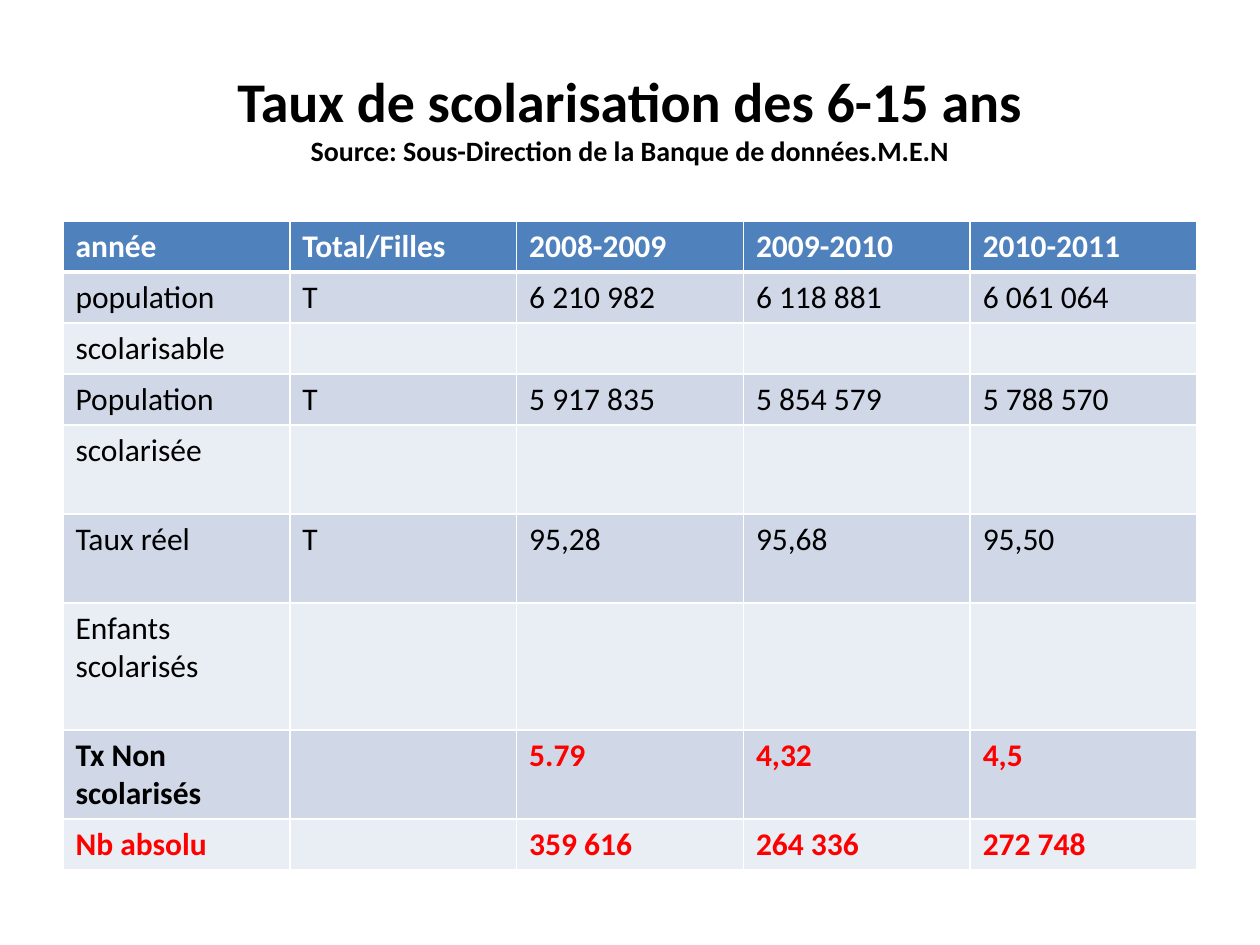
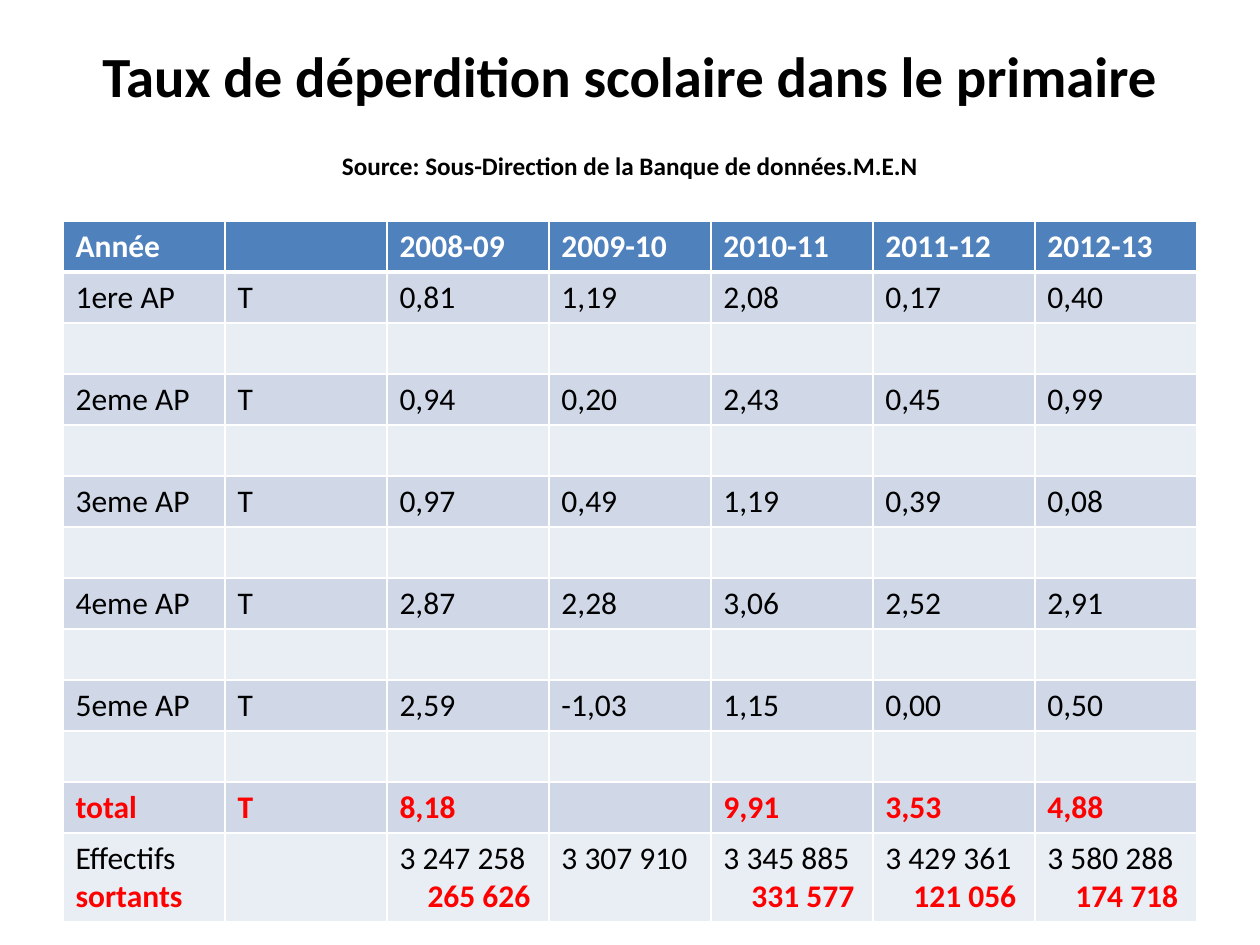
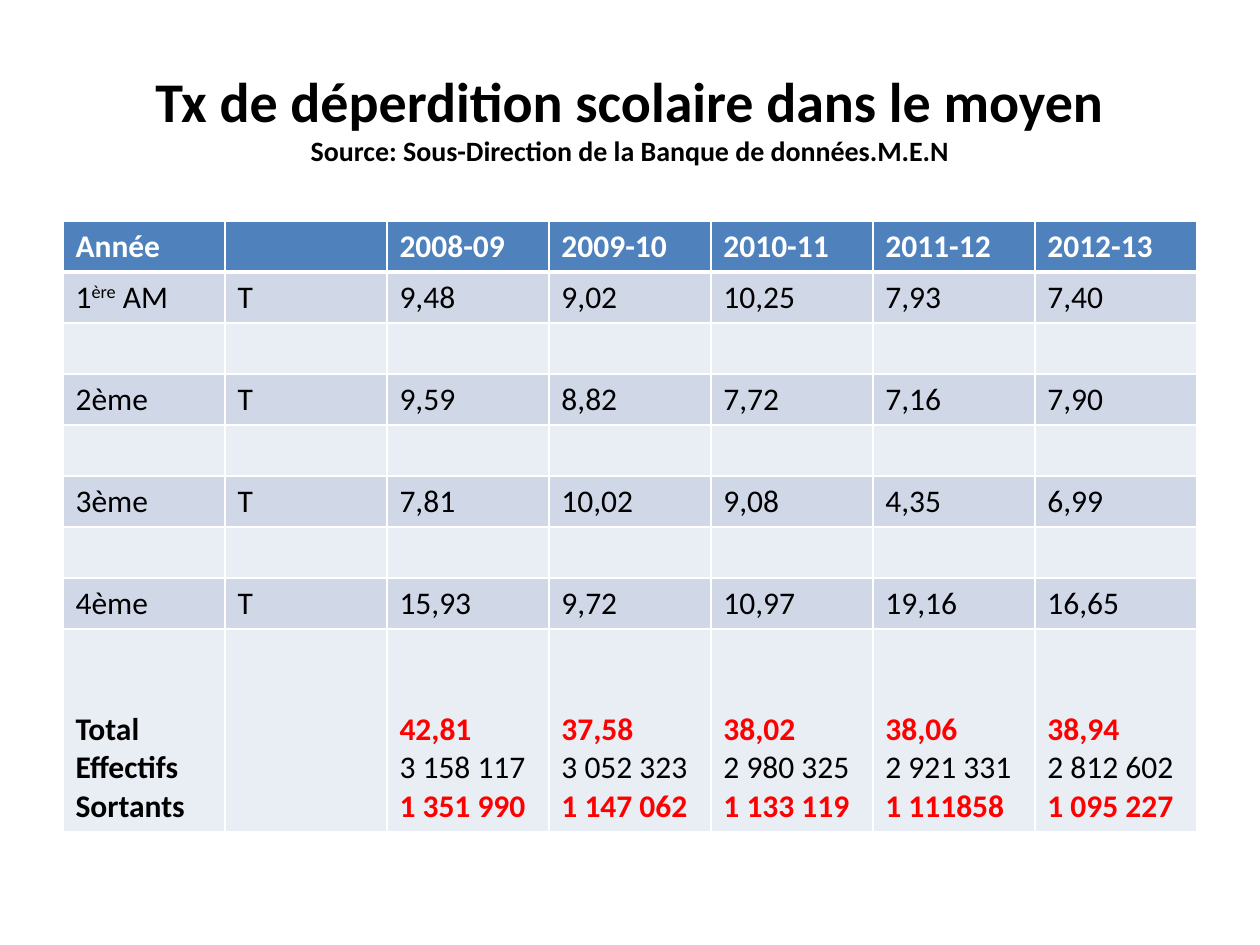
from dataclasses import dataclass

from lxml.etree import SubElement
from pptx import Presentation
from pptx.dml.color import RGBColor
from pptx.enum.text import MSO_ANCHOR, PP_ALIGN
from pptx.oxml.ns import qn
from pptx.util import Emu, Pt

PIXELS_PER_INCH = 126
FONT = "Calibri"
BLACK = RGBColor(0x00, 0x00, 0x00)
WHITE = RGBColor(0xFF, 0xFF, 0xFF)
RED = RGBColor(0xFF, 0x00, 0x00)
HEADER_BLUE = RGBColor(0x4F, 0x81, 0xBD)
BANDS = (RGBColor(0xE9, 0xED, 0xF4), RGBColor(0xD0, 0xD8, 0xE8))

LEFT, WIDTH = 63, 1134
TITLE_TOP, TITLE_HEIGHT = 38, 157
TABLE_TOP = 221
LINE_HEIGHT, CELL_PADDING = 38, 13

PLAIN = {"color": BLACK, "bold": False}
STRONG = {"color": BLACK, "bold": True}
ALERT = {"color": RED, "bold": True}
HEADING = {"color": WHITE, "bold": True}

SOURCE = "Source: Sous-Direction de la Banque de données.M.E.N"
SCHOOL_YEARS = ["Année", "", "2008-09", "2009-10", "2010-11", "2011-12", "2012-13"]


@dataclass
class Row:
    """A table row: cell texts, height in lines, and one style per text line."""
    cells: list
    lines: int = 1
    labels: tuple = (PLAIN,)
    values: tuple = (PLAIN,)
    indent: int = 0
    anchor: MSO_ANCHOR = MSO_ANCHOR.TOP


def px(pixels):
    """Turn pixels into EMU."""
    return Emu(round(pixels * 914400 / PIXELS_PER_INCH))


def write(para, text, size=18, color=BLACK, bold=False):
    """Write text into a paragraph; parts between ^ marks are superscript."""
    for position, part in enumerate(text.split("^")):
        if not part:
            continue
        span = para.add_run()
        span.text = part
        span.font.name = FONT
        span.font.size = Pt(size)
        span.font.bold = bold
        span.font.color.rgb = color
        if position % 2:
            span._r.get_or_add_rPr().set("baseline", "30000")


def add_title(page, title, size=32, source_size=16, gap=0, bottom=0):
    """Add the centred title with its source line below."""
    box = page.shapes.add_textbox(px(LEFT), px(TITLE_TOP), px(WIDTH), px(TITLE_HEIGHT))
    frame = box.text_frame
    frame.word_wrap = True
    frame.vertical_anchor = MSO_ANCHOR.MIDDLE
    frame.margin_top, frame.margin_bottom = 0, px(bottom)
    heading, source = frame.paragraphs[0], frame.add_paragraph()
    heading.alignment = source.alignment = PP_ALIGN.CENTER
    source.space_before = Pt(gap)
    write(heading, title, size=size, bold=True)
    write(source, SOURCE, size=source_size, bold=True)


def set_borders(cell, top, bottom):
    """Draw white cell borders, with top and bottom widths in points."""
    properties = cell._tc.get_or_add_tcPr()
    for side, width in (("L", 1), ("R", 1), ("T", top), ("B", bottom)):
        line = SubElement(properties, qn(f"a:ln{side}"), w=str(Pt(width)))
        fill = SubElement(line, qn("a:solidFill"))
        SubElement(fill, qn("a:srgbClr"), val=str(WHITE))


def fill_cell(cell, text, styles, indent, anchor):
    """Write the lines of a cell, indenting those after the first."""
    cell.vertical_anchor = anchor
    frame = cell.text_frame
    for number, (line, style) in enumerate(zip(text.split("\n"), styles)):
        para = frame.add_paragraph() if number else frame.paragraphs[0]
        if number and indent:
            para._p.get_or_add_pPr().set("marL", str(px(indent)))
        write(para, line, **style)


def add_banded_table(page, header, body):
    """Add a full-width table with a blue header and two-tone bands."""
    rows = [Row(header, labels=(HEADING,), values=(HEADING,))] + body
    heights = [px(CELL_PADDING + LINE_HEIGHT * row.lines) for row in rows]
    table = page.shapes.add_table(len(rows), len(header), px(LEFT), px(TABLE_TOP),
                                  px(WIDTH), sum(heights)).table
    for column in table.columns:
        column.width = px(WIDTH) // len(header)
    for r, row in enumerate(rows):
        table.rows[r].height = heights[r]
        for c, text in enumerate(row.cells):
            cell = table.cell(r, c)
            set_borders(cell, top=3 if r == 1 else 1, bottom=3 if r == 0 else 1)
            cell.fill.solid()
            cell.fill.fore_color.rgb = BANDS[r % 2] if r else HEADER_BLUE
            fill_cell(cell, text, row.values if c else row.labels,
                      row.indent if c else 0, row.anchor)


def level_rows(levels):
    """Make one row per school level, with an empty row between levels."""
    rows = []
    for label, values in levels:
        rows += [Row([label, "T"] + values.split()), Row([""] * len(SCHOOL_YEARS))]
    return rows[:-1]


def add_enrolment_page(page):
    """Enrolment rate of the 6-15 age group."""
    add_title(page, "Taux de scolarisation des 6-15 ans")
    blank = [""] * 4
    add_banded_table(page, ["année", "Total/Filles", "2008-2009", "2009-2010", "2010-2011"], [
        Row(["population", "T", "6 210 982", "6 118 881", "6 061 064"]),
        Row(["scolarisable"] + blank),
        Row(["Population", "T", "5 917 835", "5 854 579", "5 788 570"]),
        Row(["scolarisée"] + blank, lines=2),
        Row(["Taux réel", "T", "95,28", "95,68", "95,50"], lines=2),
        Row(["Enfants scolarisés"] + blank, lines=3),
        Row(["Tx Non scolarisés", "", "5.79", "4,32", "4,5"], lines=2,
            labels=(STRONG,), values=(ALERT,)),
        Row(["Nb absolu", "", "359 616", "264 336", "272 748"],
            labels=(ALERT,), values=(ALERT,)),
    ])


def add_primary_page(page):
    """Drop-out rate in primary school."""
    add_title(page, "Taux de déperdition scolaire dans le primaire",
              size=32.4, source_size=14.4, gap=24, bottom=12)
    levels = level_rows([
        ("1ere AP", "0,81 1,19 2,08 0,17 0,40"),
        ("2eme AP", "0,94 0,20 2,43 0,45 0,99"),
        ("3eme AP", "0,97 0,49 1,19 0,39 0,08"),
        ("4eme AP", "2,87 2,28 3,06 2,52 2,91"),
        ("5eme AP", "2,59 -1,03 1,15 0,00 0,50"),
    ])
    add_banded_table(page, SCHOOL_YEARS, levels + [
        Row([""] * len(SCHOOL_YEARS)),
        Row(["total", "T", "8,18", "", "9,91", "3,53", "4,88"],
            labels=(ALERT,), values=(ALERT,)),
        Row(["Effectifs\nsortants", "", "3 247 258\n265 626", "3 307 910",
             "3 345 885\n331 577", "3 429 361\n121 056", "3 580 288\n174 718"],
            lines=2, labels=(PLAIN, ALERT), values=(PLAIN, ALERT), indent=28),
    ])


def add_middle_page(page):
    """Drop-out rate in middle school."""
    add_title(page, "Tx de déperdition scolaire dans le moyen")
    levels = level_rows([
        ("1^ère^ AM", "9,48 9,02 10,25 7,93 7,40"),
        ("2ème", "9,59 8,82 7,72 7,16 7,90"),
        ("3ème", "7,81 10,02 9,08 4,35 6,99"),
        ("4ème", "15,93 9,72 10,97 19,16 16,65"),
    ])
    add_banded_table(page, SCHOOL_YEARS, levels + [
        Row(["Total\nEffectifs\nSortants", "",
             "42,81\n3 158 117\n1 351 990", "37,58\n3 052 323\n1 147 062",
             "38,02\n2 980 325\n1 133 119", "38,06\n2 921 331\n1 111858",
             "38,94\n2 812 602\n1 095 227"],
            lines=5, labels=(STRONG,) * 3, values=(ALERT, PLAIN, ALERT),
            anchor=MSO_ANCHOR.BOTTOM),
    ])


def main():
    """Build the deck and save it."""
    deck = Presentation()
    deck.slide_width, deck.slide_height = px(1260), px(945)
    for add_content in (add_enrolment_page, add_primary_page, add_middle_page):
        add_content(deck.slides.add_slide(deck.slide_layouts[6]))
    deck.save("out.pptx")


main()
